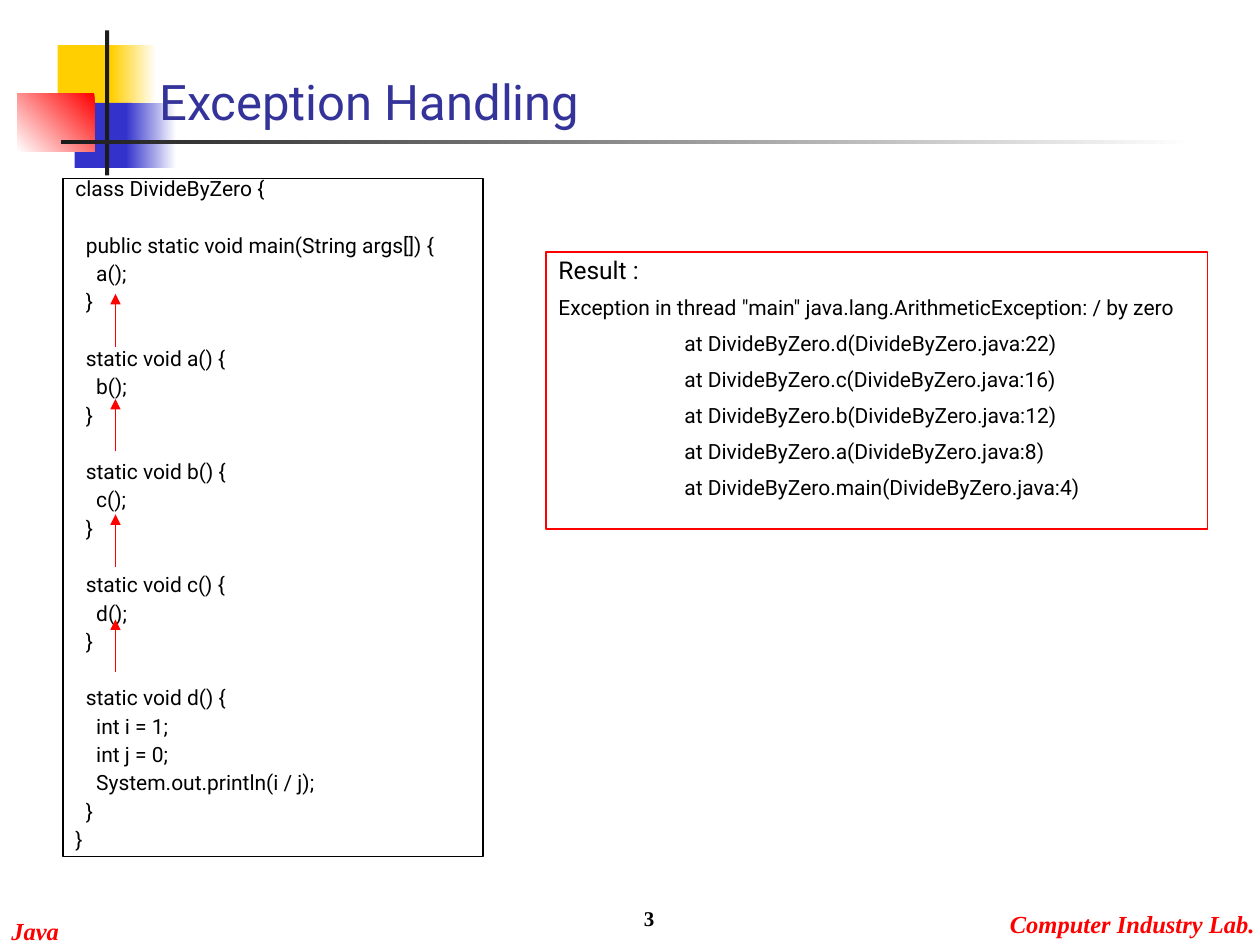
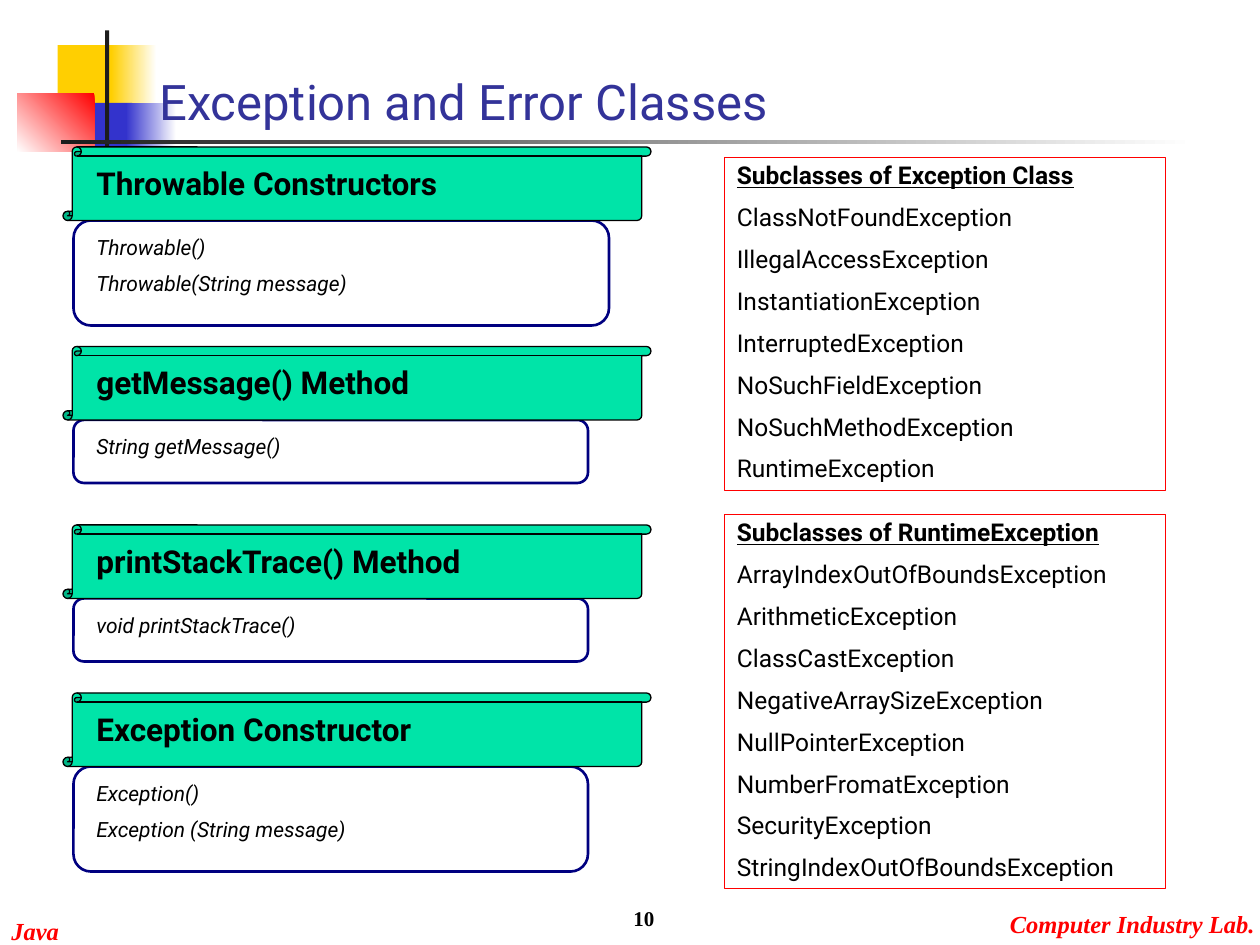
from dataclasses import dataclass

from lxml.etree import SubElement
from pptx import Presentation
from pptx.dml.color import RGBColor
from pptx.enum.shapes import MSO_CONNECTOR, MSO_SHAPE
from pptx.enum.text import MSO_ANCHOR, PP_ALIGN
from pptx.oxml.ns import qn
from pptx.util import Inches, Pt


@dataclass(frozen=True)
class Theme:
    ink: str = "000000"
    red: str = "FF0000"
    gold: str = "FFCF01"
    blue: str = "3333CC"
    navy: str = "000080"
    mint: str = "00E4A8"
    dark: str = "1C1C1C"
    white: str = "FFFFFF"
    title: str = "333399"
    sans: str = "Roboto"
    serif: str = "Times New Roman"
    large: int = 28
    head: int = 18
    mid: int = 14
    small: int = 12
    thin: float = 0.75
    thick: float = 1.5


THEME = Theme()
COLS, ROWS = 120, 90
CODE = """class DivideByZero {

  public static void main(String args[]) {
    a();
  }

  static void a() {
    b();
  }

  static void b() {
    c();
  }

  static void c() {
    d();
  }

  static void d() {
    int i = 1;
    int j = 0;
    System.out.println(i / j);
  }
}"""
ERROR = 'Exception in thread "main" java.lang.ArithmeticException: / by zero'
TRACE = """at DivideByZero.d(DivideByZero.java:22)
at DivideByZero.c(DivideByZero.java:16)
at DivideByZero.b(DivideByZero.java:12)
at DivideByZero.a(DivideByZero.java:8)
at DivideByZero.main(DivideByZero.java:4)"""
CARDS = [
    (14, 51, 10, "Throwable Constructors", "Throwable()\nThrowable(String message)"),
    (33, 49, 6, "getMessage() Method", "String getMessage()"),
    (50, 49, 6, "printStackTrace() Method", "void printStackTrace()"),
    (66, 49, 10, "Exception Constructor", "Exception()\nException (String message)"),
]
LISTS = [
    (15, 31.7, "Subclasses of Exception Class", """ClassNotFoundException
IllegalAccessException
InstantiationException
InterruptedException
NoSuchFieldException
NoSuchMethodException
RuntimeException"""),
    (49, 35.6, "Subclasses of RuntimeException", """ArrayIndexOutOfBoundsException
ArithmeticException
ClassCastException
NegativeArraySizeException
NullPointerException
NumberFromatException
SecurityException
StringIndexOutOfBoundsException"""),
]


def paint(hue):
    return RGBColor.from_string(hue)


def write(frame, text, size=THEME.small, hue=THEME.ink, face=THEME.sans, bold=False,
          slant=False, under=False, lead=None, above=0, gap=0, left=0, align=PP_ALIGN.LEFT):
    skip = 0
    for line in text.split("\n"):
        if not line:
            skip = gap
            continue
        first = not frame.text
        para = frame.paragraphs[0] if first else frame.add_paragraph()
        para.alignment = align
        if left:
            para._p.get_or_add_pPr().set("marL", str(Inches(left)))
        if lead:
            para.line_spacing = lead
        para.space_before = Pt(0 if first else above + skip)
        skip = 0
        run = para.add_run()
        run.text = line
        font = run.font
        font.name, font.size, font.color.rgb = face, Pt(size), paint(hue)
        font.bold, font.italic, font.underline = bold, slant, under


class Deck:
    def __init__(self, theme):
        self.theme = theme
        self.show = Presentation()
        self.show.slide_width, self.show.slide_height = Inches(10), Inches(7.5)
        self.page = None

    def place(self, x, y, w, h):
        wide, high = self.show.slide_width, self.show.slide_height
        return (round(x / COLS * wide), round(y / ROWS * high),
                round(w / COLS * wide), round(h / ROWS * high))

    def shape(self, area, kind=MSO_SHAPE.RECTANGLE, fill=None, fade=None, turn=180,
              edge=None, width=THEME.thin):
        item = self.page.shapes.add_shape(kind, *self.place(*area))
        item.shadow.inherit = False
        if fade:
            item.fill.gradient()
            item.fill.gradient_angle = turn
            for stop, hue in zip(item.fill.gradient_stops, fade):
                stop.color.rgb = paint(hue)
        elif fill:
            item.fill.solid()
            item.fill.fore_color.rgb = paint(fill)
        else:
            item.fill.background()
        if edge:
            item.line.color.rgb = paint(edge)
            item.line.width = Pt(width)
        else:
            item.line.fill.background()
        frame = item.text_frame
        frame.word_wrap = True
        frame.vertical_anchor = MSO_ANCHOR.TOP
        return frame

    def text(self, area, text, wrap=True, anchor=MSO_ANCHOR.TOP, **form):
        frame = self.page.shapes.add_textbox(*self.place(*area)).text_frame
        frame.word_wrap, frame.vertical_anchor = wrap, anchor
        write(frame, text, **form)

    def arrow(self, x, y, rise):
        left, base, _, drop = self.place(x, y, 0, rise)
        item = self.page.shapes.add_connector(
            MSO_CONNECTOR.STRAIGHT, left, base, left, base - drop)
        item.line.color.rgb = paint(self.theme.red)
        item.line.width = Pt(self.theme.thin)
        SubElement(item.line._get_or_add_ln(), qn("a:tailEnd"), type="triangle")
        SubElement(item._element.spPr, qn("a:effectLst"))

    def start(self, title, span, number):
        t = self.theme
        self.page = self.show.slides.add_slide(self.show.slide_layouts[6])
        self.shape((5.5, 4.3, 5.8, 6.2), fill=t.gold)
        self.shape((10.6, 4.3, 4.3, 6.2), fade=(t.white, t.gold))
        self.shape((7.1, 9.8, 5.5, 6.2), fill=t.blue)
        self.shape((12, 9.8, 4.8, 6.2), fade=(t.white, t.blue))
        self.shape((1.65, 8.9, 7.35, 5.55), fade=(t.red, t.white), turn=225)
        self.shape((10, 2.9, 0.4, 13.8), fill=t.dark)
        self.shape((5.8, 13.3, 108, 0.4), fade=(t.white, t.dark))
        foot = dict(wrap=False, size=t.mid, hue=t.red, face=t.serif, bold=True, slant=True)
        self.text((-0.1, 86.65, 7, 4.1), "Java", **foot)
        self.text((95, 86, 25.7, 4.1), "Computer Industry Lab.", **foot)
        self.text((14, 6, span, 7), title, anchor=MSO_ANCHOR.BOTTOM, size=t.large, hue=t.title)
        self.text((38.5, 83.2, 25, 6), str(number), anchor=MSO_ANCHOR.BOTTOM,
                  face=t.serif, bold=True, align=PP_ALIGN.RIGHT)

    def card(self, top, span, tall, head, body):
        t = self.theme
        self.shape((7, top + 7, span, tall), MSO_SHAPE.ROUNDED_RECTANGLE,
                   edge=t.navy, width=t.thick)
        self.text((8, top + 8, 46, tall - 3), body, slant=True, lead=0.9, above=7.5)
        self.shape((6, top, 56, 7), MSO_SHAPE.VERTICAL_SCROLL, fill=t.mint, edge=t.ink)
        self.text((8, top + 1, 53, 4.8), head, size=t.head, bold=True)

    def names(self, top, tall, head, body):
        t = self.theme
        frame = self.shape((69, top, 42, tall), edge=t.red)
        form = dict(size=t.mid, lead=0.9, above=8.8)
        write(frame, head, bold=True, under=True, **form)
        write(frame, body, **form)


def main():
    deck = Deck(THEME)
    deck.start("Exception Handling", 47, 3)
    code = deck.shape((6, 17, 40, 64.6), edge=THEME.ink)
    write(code, CODE, lead=0.6, above=7.5, gap=16.2)
    result = deck.shape((52, 24, 63, 26.4), edge=THEME.red)
    write(result, "Result :", size=THEME.mid, lead=0.9)
    write(result, ERROR, lead=0.9, above=7.5)
    write(result, TRACE, lead=0.9, above=7.5, left=1)
    for base in (64, 54, 43, 33):
        deck.arrow(11, base, 5)

    deck.start("Exception and Error Classes", 70, 10)
    for card in CARDS:
        deck.card(*card)
    for group in LISTS:
        deck.names(*group)
    deck.show.save("out.pptx")


if __name__ == "__main__":
    main()
